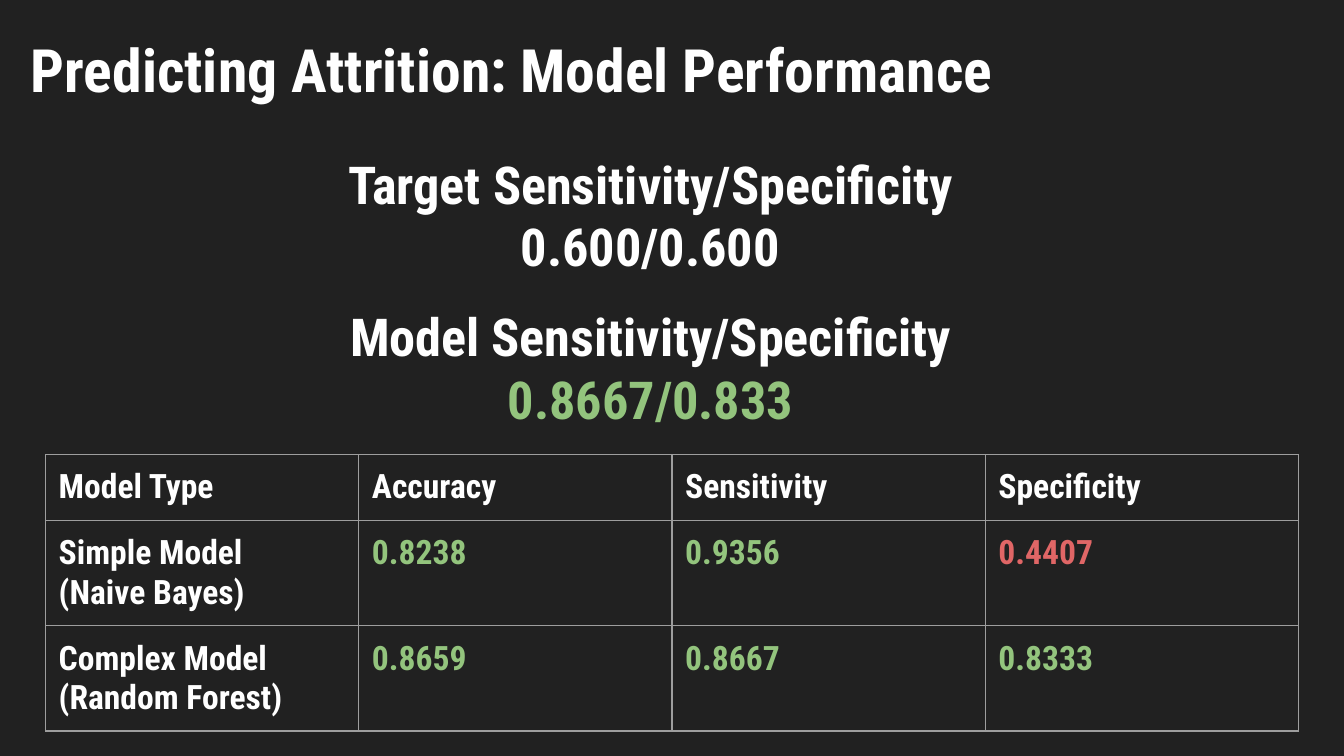
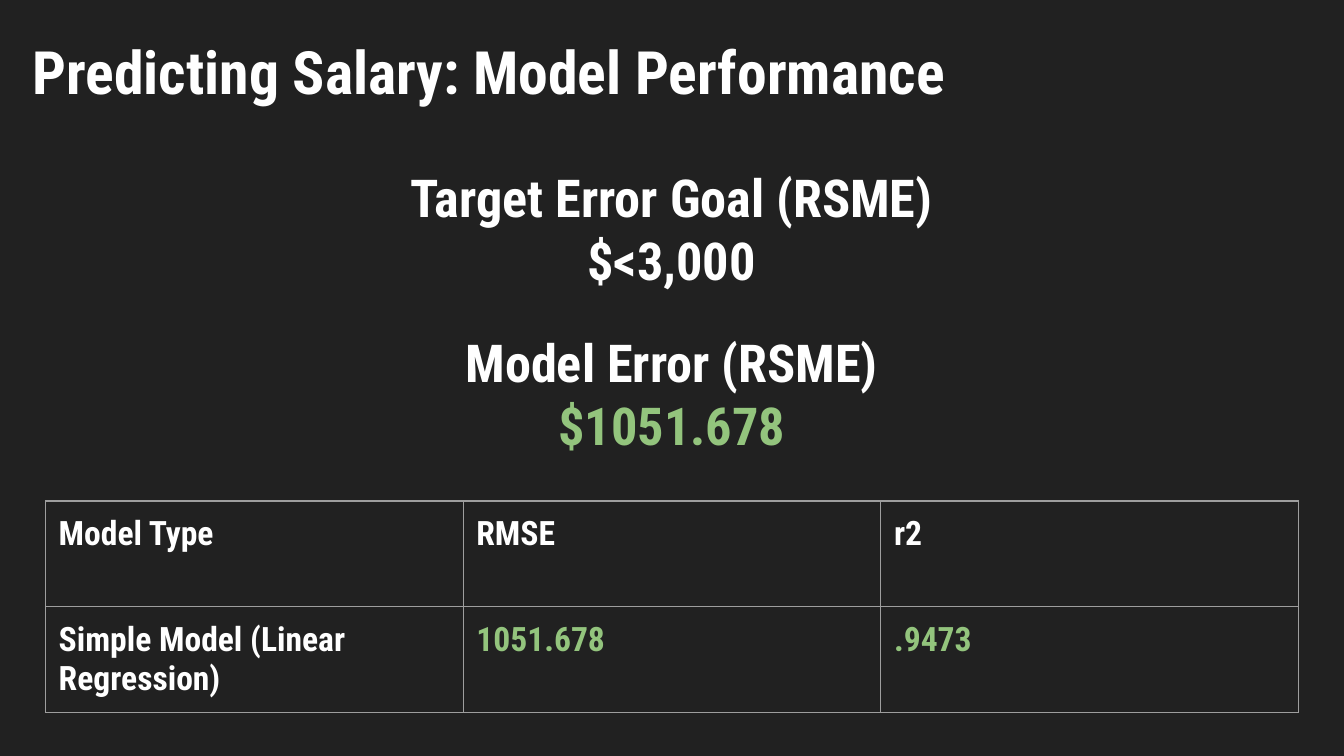
import pptx
import pptx.util
import pptx.dml.color
import pptx.enum.text
import pptx.oxml
import pptx.oxml.ns
from pptx.util import Cm

COLORS = {
    "background": "212121",
    "text": "FFFFFF",
    "good": "93C47D",
    "bad": "E06666",
    "border": "9E9E9E",
}
FONT = "Roboto Condensed"
INSET = Cm(0.25)
TABLE_LEFT = Cm(0.86)
TABLE_WIDTH = Cm(23.68)
TITLE_ONLY = 5
ALIGN = pptx.enum.text.PP_ALIGN
ANCHOR = pptx.enum.text.MSO_ANCHOR
AUTO_SIZE = pptx.enum.text.MSO_AUTO_SIZE


def rgb(name):
    return pptx.dml.color.RGBColor.from_string(COLORS[name])


def write_text(text_frame, lines, size=18, align=ALIGN.LEFT):
    """Write (text, color name) pairs, one paragraph each."""
    for index, (text, color) in enumerate(lines):
        paragraph = text_frame.paragraphs[0] if index == 0 else text_frame.add_paragraph()
        paragraph.alignment = align
        run = paragraph.add_run()
        run.text = text
        run.font.name = FONT
        run.font.size = pptx.util.Pt(size)
        run.font.bold = True
        run.font.color.rgb = rgb(color)


def set_frame(text_frame, auto_size):
    text_frame.word_wrap = True
    text_frame.auto_size = auto_size
    text_frame.vertical_anchor = ANCHOR.TOP
    text_frame.margin_left = text_frame.margin_right = INSET
    text_frame.margin_top = text_frame.margin_bottom = INSET


def add_titled_slide(presentation, title, left, top):
    slide = presentation.slides.add_slide(presentation.slide_layouts[TITLE_ONLY])
    shape = slide.shapes.title
    shape.left, shape.top, shape.width, shape.height = left, top, Cm(23.67), Cm(1.6)
    set_frame(shape.text_frame, AUTO_SIZE.NONE)
    write_text(shape.text_frame, [(title, "text")], size=32)
    return slide


def add_headline(slide, label, value, left, top, width, value_color="text"):
    """A centred label with its figure below."""
    shape = slide.shapes.add_textbox(left, top, width, Cm(2.9))
    set_frame(shape.text_frame, AUTO_SIZE.SHAPE_TO_FIT_TEXT)
    write_text(shape.text_frame, [(label, "text"), (value, value_color)],
               size=28, align=ALIGN.CENTER)


def set_borders(cell):
    properties = cell._tc.get_or_add_tcPr()
    for index, side in enumerate(("lnL", "lnR", "lnT", "lnB")):
        line = pptx.oxml.parse_xml(
            f'<a:{side} {pptx.oxml.ns.nsdecls("a")} w="9525"><a:solidFill>'
            f'<a:srgbClr val="{COLORS["border"]}"/></a:solidFill></a:{side}>')
        properties.insert(index, line)


def add_results_table(slide, top, row_heights, rows, bad_values=()):
    """First row and first column are labels; the rest are scores."""
    column_count = len(rows[0])
    table = slide.shapes.add_table(len(rows), column_count, TABLE_LEFT, top,
                                   TABLE_WIDTH, sum(row_heights)).table
    table.first_row = table.horz_banding = False
    for column in table.columns:
        column.width = TABLE_WIDTH // column_count
    for row_index, values in enumerate(rows):
        table.rows[row_index].height = row_heights[row_index]
        for column_index, value in enumerate(values):
            cell = table.cell(row_index, column_index)
            cell.fill.background()
            cell.margin_left = cell.margin_right = INSET
            cell.margin_top = cell.margin_bottom = INSET
            set_borders(cell)
            if row_index == 0 or column_index == 0:
                color = "text"
            else:
                color = "bad" if value in bad_values else "good"
            write_text(cell.text_frame, [(line, color) for line in value.split("\n")])


def build_attrition_slide(presentation):
    slide = add_titled_slide(presentation, "Predicting Attrition: Model Performance",
                             Cm(0.33), Cm(0.36))
    add_results_table(slide, Cm(8.59), [Cm(1.22), Cm(1.8), Cm(1.8)], [
        ["Model Type", "Accuracy", "Sensitivity", "Specificity"],
        ["Simple Model\n(Naive Bayes)", "0.8238", "0.9356", "0.4407"],
        ["Complex Model\n(Random Forest)", "0.8659", "0.8667", "0.8333"],
    ], bad_values=("0.4407",))
    add_headline(slide, "Target Sensitivity/Specificity", "0.600/0.600",
                 Cm(4.11), Cm(2.62), Cm(16.36))
    add_headline(slide, "Model Sensitivity/Specificity", "0.8667/0.833",
                 Cm(3.71), Cm(5.51), Cm(17.17), value_color="good")


def build_salary_slide(presentation):
    slide = add_titled_slide(presentation, "Predicting Salary: Model Performance",
                             Cm(0.36), Cm(0.41))
    add_results_table(slide, Cm(9.47), [Cm(2), Cm(1.7)], [
        ["Model Type", "RMSE", "r2"],
        ["Simple Model (Linear Regression)", "1051.678", ".9473"],
    ])
    add_headline(slide, "Target Error Goal (RSME)", "$<3,000",
                 Cm(6.3), Cm(2.87), Cm(12.78))
    add_headline(slide, "Model Error (RSME)", "$1051.678",
                 Cm(4.11), Cm(5.99), Cm(17.17), value_color="good")


def main():
    presentation = pptx.Presentation()
    presentation.slide_width, presentation.slide_height = Cm(25.4), Cm(14.29)

    # Shared dark background
    background = presentation.slide_master.background.fill
    background.solid()
    background.fore_color.rgb = rgb("background")

    build_attrition_slide(presentation)
    build_salary_slide(presentation)
    presentation.save("out.pptx")


main()
